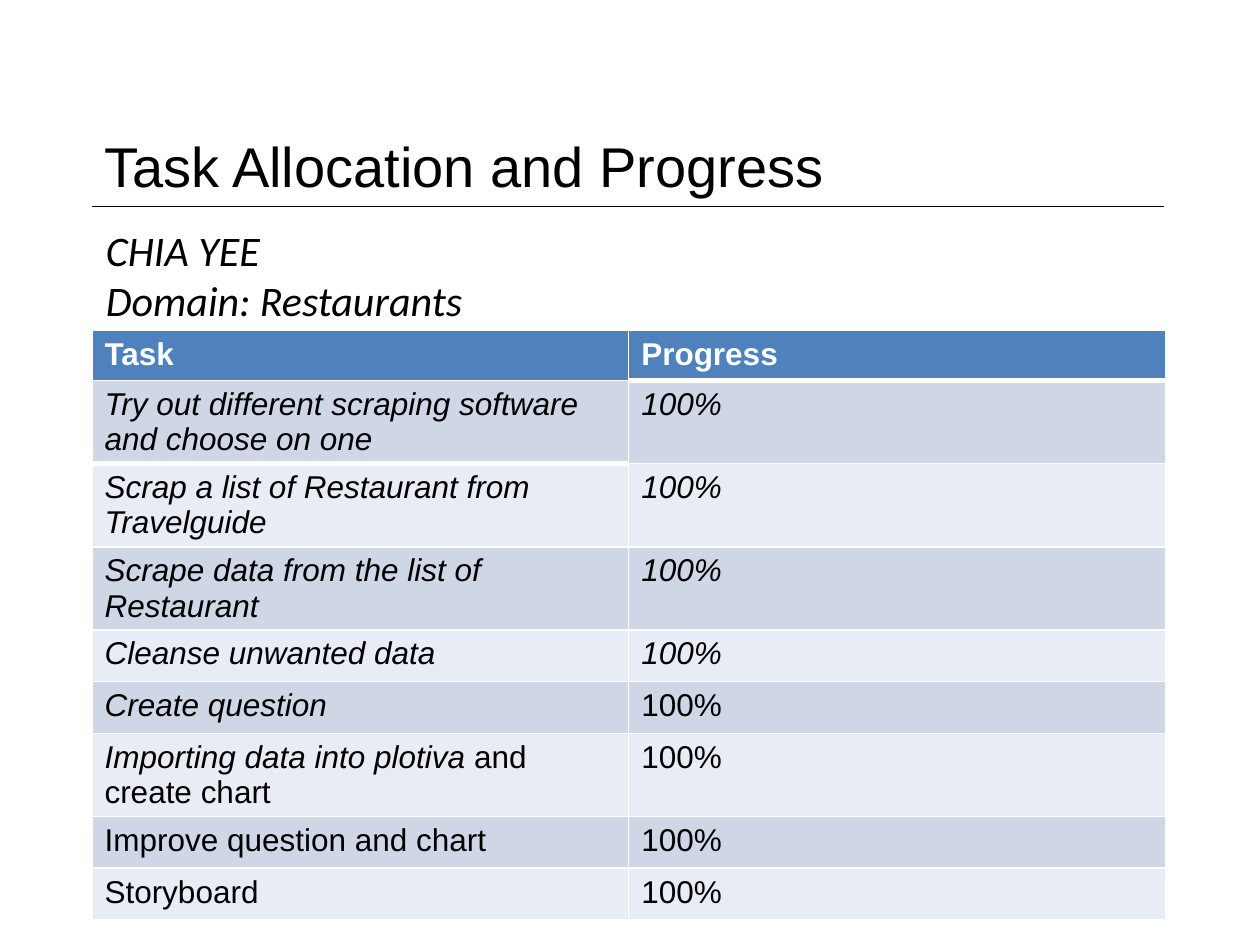
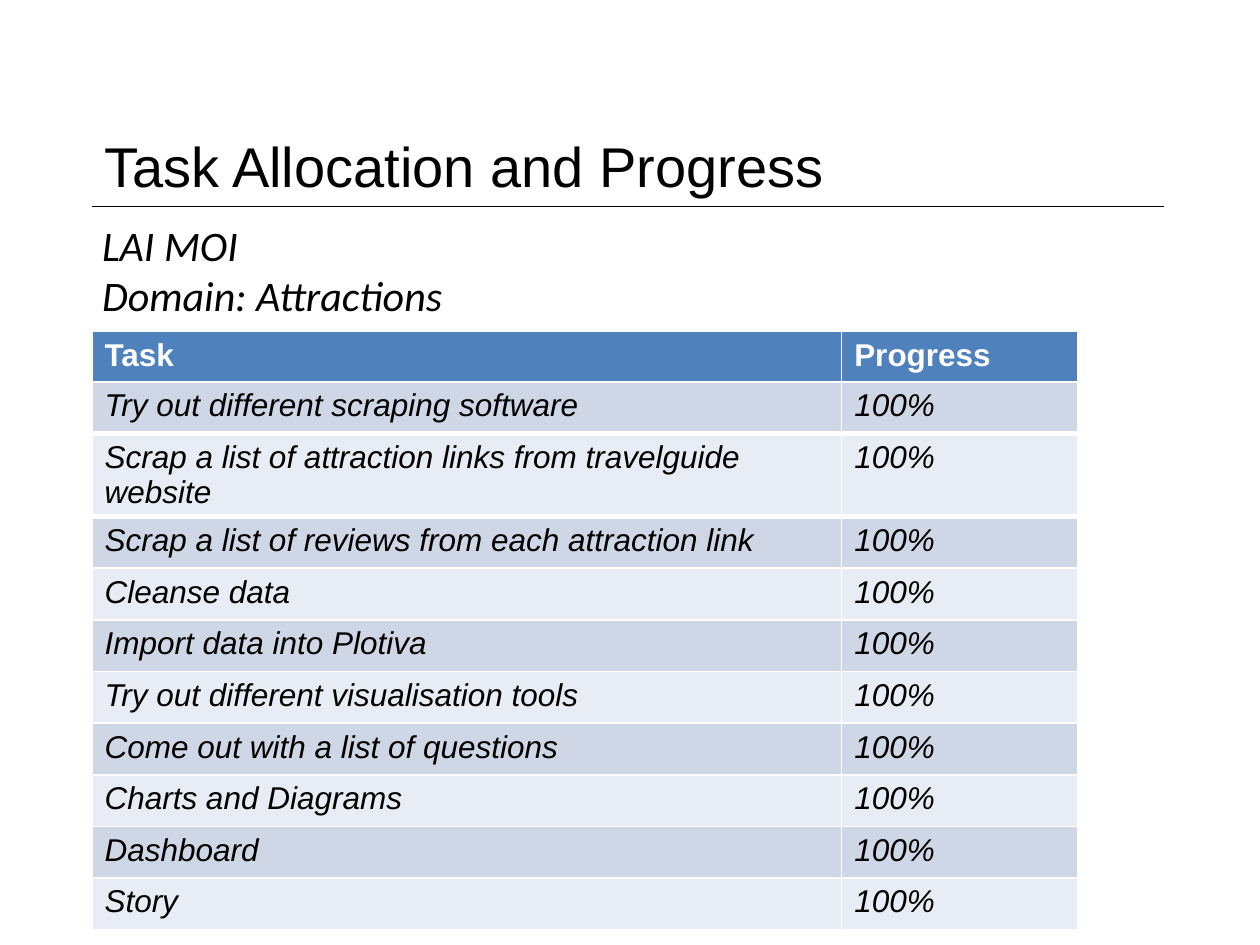
"""Build the two task allocation and progress slides."""
from dataclasses import dataclass

from lxml.etree import SubElement
from pptx import Presentation
from pptx.dml.color import RGBColor
from pptx.enum.shapes import MSO_CONNECTOR
from pptx.enum.text import MSO_ANCHOR, MSO_AUTO_SIZE, PP_ALIGN
from pptx.oxml.ns import qn
from pptx.presentation import Presentation as Deck
from pptx.slide import Slide
from pptx.table import _Cell as Cell
from pptx.text.text import _Paragraph as Paragraph
from pptx.util import Inches, Pt


@dataclass(frozen=True)
class Theme:
    """Colours, fonts and sizes shared by the slides."""
    ink: RGBColor = RGBColor(0, 0, 0)
    paper: RGBColor = RGBColor(255, 255, 255)
    header: RGBColor = RGBColor(0x4F, 0x81, 0xBD)
    dark_band: RGBColor = RGBColor(0xCF, 0xD7, 0xE7)
    light_band: RGBColor = RGBColor(0xE8, 0xEC, 0xF4)
    main_font: str = "Arial"
    owner_font: str = "Calibri"
    title_size: Pt = Pt(32)
    owner_size: Pt = Pt(24)
    table_size: Pt = Pt(18)
    rule_width: Pt = Pt(0.75)
    thin_border: Pt = Pt(1)
    thick_border: Pt = Pt(3)


@dataclass(frozen=True)
class Task:
    """One table row: italic wording, then upright wording, then progress."""
    italic_part: str
    upright_part: str = ""
    progress_italic: bool = True
    progress: str = "100%"


@dataclass(frozen=True)
class TaskSlide:
    """The owner, tasks and layout of one slide; thick_below lists (row, column)."""
    owner_lines: tuple[str, ...]
    owner_left: float
    owner_top: float
    owner_height: float
    owner_indent: float
    table_top: float
    column_widths: tuple[float, ...]
    thick_below: frozenset[tuple[int, int]]
    tasks: tuple[Task, ...]


THEME = Theme()
TITLE = "Task Allocation and Progress"
HEADINGS = ("Task", "Progress")
LEFT, CONTENT_WIDTH = 0.73, 8.51
TITLE_TOP, TITLE_HEIGHT = 0.98, 0.66
HEADER_HEIGHT, ROW_HEIGHT = 0.4, 0.41

TASK_SLIDES = (
    TaskSlide(
        ("CHIA YEE", "Domain: Restaurants"), 0.74, 1.73, 4.94, 0, 2.62, (4.26, 4.26),
        frozenset({(0, 1), (1, 0)}),
        (
            Task("Try out different scraping software and choose on one"),
            Task("Scrap a list of Restaurant from Travelguide"),
            Task("Scrape data from the list of Restaurant"),
            Task("Cleanse unwanted data"),
            Task("Create question", progress_italic=False),
            Task("Importing data into plotiva ", "and create chart", False),
            Task("", "Improve question and chart", False),
            Task("", "Storyboard", False),
        ),
    ),
    TaskSlide(
        ("LAI MOI", "Domain: Attractions"), 0.33, 1.69, 5.11, 0.38, 2.63, (5.95, 1.87),
        frozenset({(1, 0), (1, 1), (2, 0), (2, 1)}),
        (
            Task("Try out different scraping software"),
            Task("Scrap a list of attraction links from travelguide website"),
            Task("Scrap a list of reviews from each attraction link"),
            Task("Cleanse data"),
            Task("Import data into Plotiva"),
            Task("Try out different visualisation tools"),
            Task("Come out with a list of questions"),
            Task("Charts and Diagrams"),
            Task("Dashboard"),
            Task("Story"),
        ),
    ),
)


def format_paragraph(paragraph: Paragraph, name: str, size: Pt, color: RGBColor) -> None:
    """Set the font and left alignment of a paragraph."""
    paragraph.alignment = PP_ALIGN.LEFT
    paragraph.font.name = name
    paragraph.font.size = size
    paragraph.font.color.rgb = color


def add_title(slide: Slide) -> None:
    """Fill the title placeholder and draw the rule beneath it."""
    title = slide.shapes.title
    title.left, title.top = Inches(LEFT), Inches(TITLE_TOP)
    title.width, title.height = Inches(CONTENT_WIDTH), Inches(TITLE_HEIGHT)
    title.text_frame.text = TITLE
    title.text_frame.auto_size = MSO_AUTO_SIZE.NONE
    title.text_frame.vertical_anchor = MSO_ANCHOR.MIDDLE
    format_paragraph(title.text_frame.paragraphs[0], THEME.main_font, THEME.title_size, THEME.ink)
    rule_top = Inches(TITLE_TOP + TITLE_HEIGHT)
    rule = slide.shapes.add_connector(
        MSO_CONNECTOR.STRAIGHT, Inches(LEFT), rule_top, Inches(LEFT + CONTENT_WIDTH), rule_top
    )
    rule.line.color.rgb = THEME.ink
    rule.line.width = THEME.rule_width
    SubElement(rule._element.spPr, qn("a:effectLst"))


def add_owner(slide: Slide, content: TaskSlide) -> None:
    """Write the owner and domain in the body placeholder."""
    body = slide.placeholders[1]
    body.left, body.top = Inches(content.owner_left), Inches(content.owner_top)
    body.width, body.height = Inches(CONTENT_WIDTH), Inches(content.owner_height)
    body.text_frame.text = "\n".join(content.owner_lines)
    body.text_frame.auto_size = MSO_AUTO_SIZE.NONE
    for paragraph in body.text_frame.paragraphs:
        properties = paragraph._p.get_or_add_pPr()
        properties.set("marL", str(Inches(content.owner_indent)))
        properties.set("indent", "0")
        SubElement(properties, qn("a:buNone"))
        paragraph.space_before = Pt(0)
        format_paragraph(paragraph, THEME.owner_font, THEME.owner_size, THEME.ink)
        paragraph.font.italic = True


def set_borders(cell: Cell, thick_top: bool, thick_bottom: bool) -> None:
    """Draw the four borders of a cell."""
    properties = cell._tc.get_or_add_tcPr()
    for side, thick in (("L", False), ("R", False), ("T", thick_top), ("B", thick_bottom)):
        width = THEME.thick_border if thick else THEME.thin_border
        line = SubElement(properties, qn(f"a:ln{side}"), w=str(width))
        SubElement(SubElement(line, qn("a:solidFill")), qn("a:srgbClr"), val=str(THEME.paper))


def write_cell(cell: Cell, italic_part: str, upright_part: str, is_header: bool) -> None:
    """Write the wording of a cell, italic part first."""
    paragraph = cell.text_frame.paragraphs[0]
    color = THEME.paper if is_header else THEME.ink
    format_paragraph(paragraph, THEME.main_font, THEME.table_size, color)
    paragraph.font.bold = is_header
    parts = [(text, italic) for text, italic in ((italic_part, True), (upright_part, False)) if text]
    for text, italic in parts:
        run = paragraph.add_run()
        run.text = text
        if len(parts) > 1:
            run.font.italic = italic
    if len(parts) == 1:
        paragraph.font.italic = parts[0][1]


def add_task_table(slide: Slide, content: TaskSlide) -> None:
    """Add the banded table of tasks and their progress."""
    rows = [tuple(("", heading) for heading in HEADINGS)]
    for task in content.tasks:
        progress = (task.progress, "") if task.progress_italic else ("", task.progress)
        rows.append(((task.italic_part, task.upright_part), progress))
    table = slide.shapes.add_table(
        len(rows), len(HEADINGS), Inches(LEFT), Inches(content.table_top),
        Inches(sum(content.column_widths)), Inches(HEADER_HEIGHT + ROW_HEIGHT * len(content.tasks)),
    ).table
    table.horz_banding = False
    for column, width in zip(table.columns, content.column_widths):
        column.width = Inches(width)
    for row_index, row in enumerate(rows):
        is_header = row_index == 0
        band = THEME.dark_band if row_index % 2 else THEME.light_band
        table.rows[row_index].height = Inches(HEADER_HEIGHT if is_header else ROW_HEIGHT)
        for column_index, (italic_part, upright_part) in enumerate(row):
            cell = table.cell(row_index, column_index)
            set_borders(
                cell,
                (row_index - 1, column_index) in content.thick_below,
                (row_index, column_index) in content.thick_below,
            )
            cell.fill.solid()
            cell.fill.fore_color.rgb = THEME.header if is_header else band
            write_cell(cell, italic_part, upright_part, is_header)


def add_task_slide(presentation: Deck, content: TaskSlide) -> None:
    """Add one complete task slide."""
    slide = presentation.slides.add_slide(presentation.slide_layouts[1])
    add_title(slide)
    add_owner(slide, content)
    add_task_table(slide, content)


def main() -> None:
    """Build and save the presentation."""
    presentation = Presentation()
    presentation.slide_width, presentation.slide_height = Inches(10), Inches(7.5)
    for content in TASK_SLIDES:
        add_task_slide(presentation, content)
    presentation.save("out.pptx")


if __name__ == "__main__":
    main()
